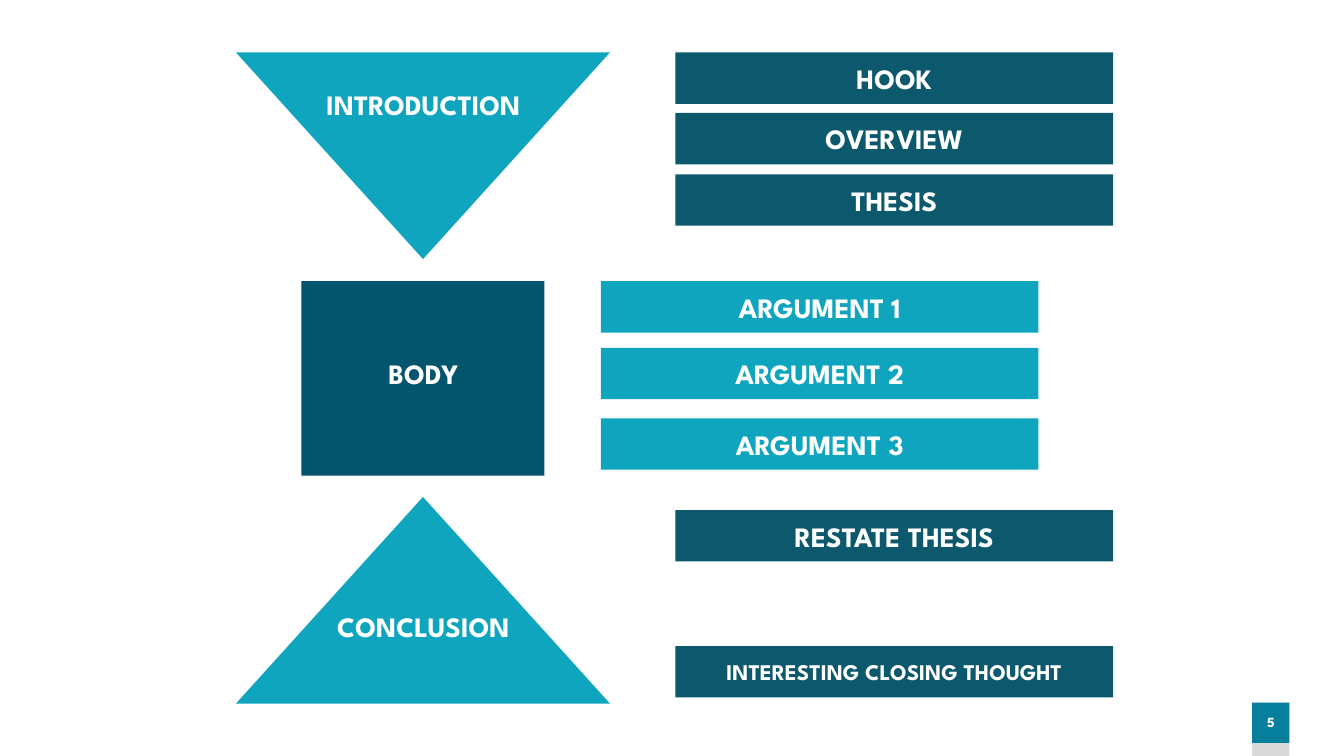
from pptx import Presentation
from pptx import util as u
from pptx.dml.color import RGBColor
from pptx.enum import shapes, text

TEAL = RGBColor(0x0F, 0xA5, 0xBE)
DARK_TEAL = RGBColor(0x0C, 0x59, 0x6D)
BODY_BLUE = RGBColor(0x03, 0x55, 0x6D)
BADGE_BLUE = RGBColor(0x06, 0x7F, 0x9C)
GREY = RGBColor(0xD9, 0xD9, 0xD9)
WHITE = RGBColor(0xFF, 0xFF, 0xFF)

RECTANGLE = shapes.MSO_SHAPE.RECTANGLE
TRIANGLE = shapes.MSO_SHAPE.ISOSCELES_TRIANGLE
BAR_WIDTH, BAR_HEIGHT = 4.34, 0.51
LABEL_WIDTH, LABEL_HEIGHT = 2.42, 0.44


class EssaySlide:
    """Holds the style and the slide being drawn."""

    font = "League Spartan"

    def __init__(self, slide):
        self.slide = slide

    def block(self, kind, left, top, width, height, color, rotation=0):
        block = self.slide.shapes.add_shape(
            kind, u.Inches(left), u.Inches(top), u.Inches(width), u.Inches(height))
        block.shadow.inherit = False
        block.fill.solid()
        block.fill.fore_color.rgb = color
        block.line.fill.background()
        block.rotation = rotation
        return block

    def set_wording(self, frame, wording, size):
        frame.word_wrap = True
        frame.text = wording
        paragraph = frame.paragraphs[0]
        paragraph.alignment = text.PP_ALIGN.CENTER
        for run in paragraph.runs:
            run.font.name = self.font
            run.font.size = u.Pt(size)
            run.font.bold = True
            run.font.color.rgb = WHITE

    def label(self, wording, left, top, width=LABEL_WIDTH, height=LABEL_HEIGHT, size=20):
        label = self.slide.shapes.add_textbox(
            u.Inches(left), u.Inches(top), u.Inches(width), u.Inches(height))
        self.set_wording(label.text_frame, wording, size)
        label.text_frame.auto_size = text.MSO_AUTO_SIZE.SHAPE_TO_FIT_TEXT

    def bar(self, wording, left, top, color, label_drop=0.04,
            label_width=LABEL_WIDTH, label_height=LABEL_HEIGHT, size=20):
        self.block(RECTANGLE, left, top, BAR_WIDTH, BAR_HEIGHT, color)
        label_left = left + (BAR_WIDTH - label_width) / 2
        self.label(wording, label_left, top + label_drop, label_width, label_height, size)

    def page_number(self, number):
        self.block(RECTANGLE, 12.42, 6.97, 0.37, 0.53, GREY)
        badge = self.block(RECTANGLE, 12.42, 6.97, 0.37, 0.4, BADGE_BLUE)
        frame = badge.text_frame
        self.set_wording(frame, number, 10)
        frame.margin_left = frame.margin_right = 0
        frame.vertical_anchor = text.MSO_ANCHOR.MIDDLE
        frame.paragraphs[0].line_spacing = 0.9


def main():
    deck = Presentation()
    deck.slide_width, deck.slide_height = u.Inches(13.33), u.Inches(7.5)
    essay = EssaySlide(deck.slides.add_slide(deck.slide_layouts[6]))

    essay.page_number("5")

    # Essay sections
    essay.block(TRIANGLE, 2.34, 0.52, 3.71, 2.05, TEAL, rotation=180)
    essay.block(RECTANGLE, 2.99, 2.79, 2.41, 1.93, BODY_BLUE)
    essay.block(TRIANGLE, 2.34, 4.93, 3.71, 2.05, TEAL)
    for section, top in (("INTRODUCTION", 0.82), ("BODY", 3.49), ("CONCLUSION", 6)):
        essay.label(section, 2.99, top)

    # Introduction and conclusion parts
    for part, top in (("HOOK", 0.52), ("OVERVIEW", 1.12), ("THESIS", 1.73),
                      ("RESTATE THESIS", 5.06)):
        essay.bar(part, 6.7, top, DARK_TEAL)
    essay.bar("INTERESTING CLOSING THOUGHT", 6.7, 6.41, DARK_TEAL,
              label_drop=0.07, label_width=3.7, label_height=0.37, size=16)

    # Body arguments
    for number, top in enumerate((2.79, 3.45, 4.15), start=1):
        essay.bar(f"ARGUMENT {number}", 5.96, top, TEAL)

    deck.save("out.pptx")


if __name__ == "__main__":
    main()
